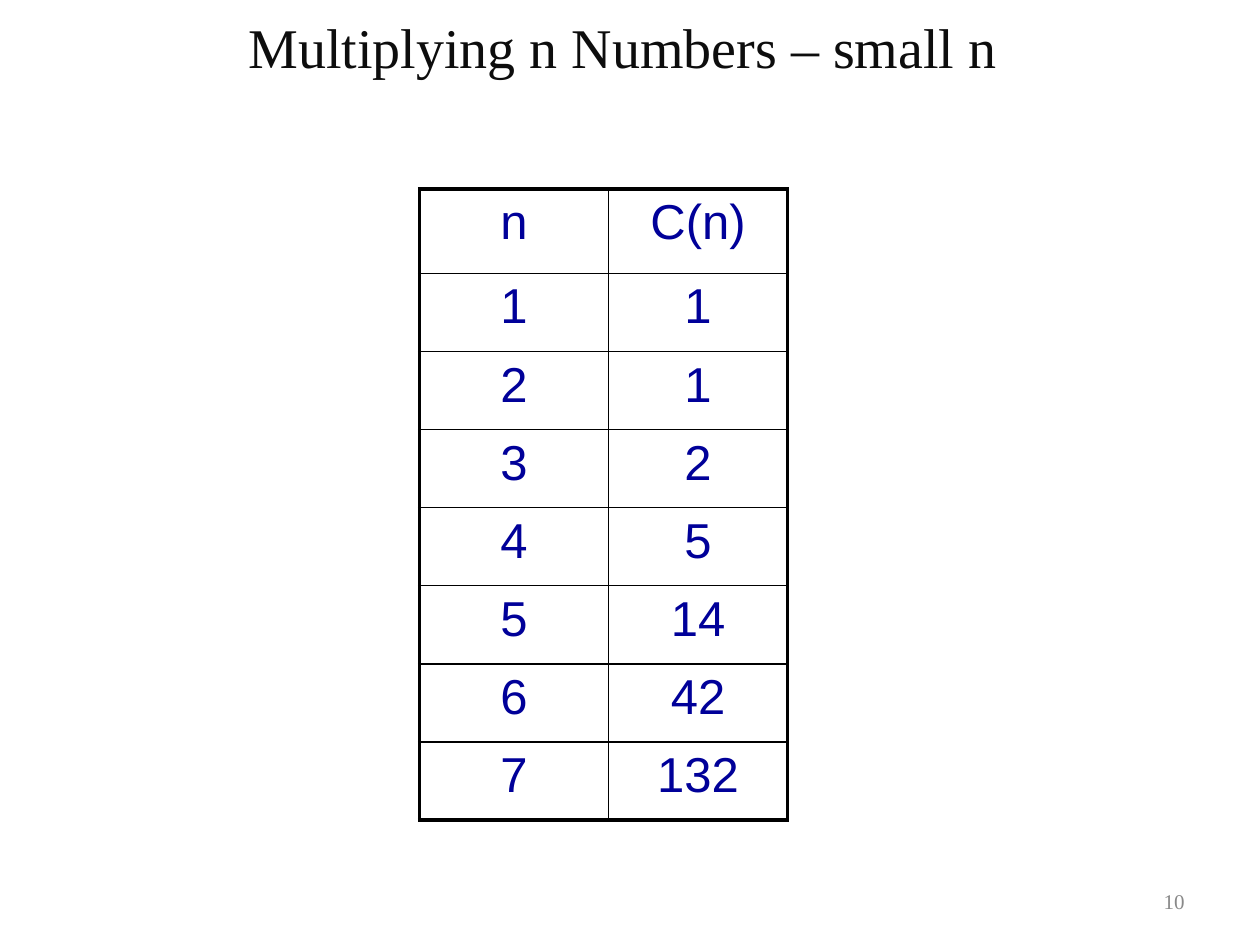
from dataclasses import dataclass

from lxml import etree
from pptx import Presentation
from pptx.dml.color import RGBColor
from pptx.enum.text import MSO_ANCHOR, MSO_AUTO_SIZE, PP_ALIGN
from pptx.oxml.ns import qn
from pptx.util import Inches, Pt

CENTER, RIGHT = PP_ALIGN.CENTER, PP_ALIGN.RIGHT
TOP, MIDDLE = MSO_ANCHOR.TOP, MSO_ANCHOR.MIDDLE
NO_AUTOFIT = MSO_AUTO_SIZE.NONE
TITLE_ONLY = 5

COLORS = {"title": "0D0D0D", "cell": "000099", "border": "000000", "number": "898989"}
OUTER_LINE, INNER_LINE = 2.25, 1


@dataclass(frozen=True)
class TextStyle:
    font: str
    size: float
    color: str
    align: PP_ALIGN


TITLE = TextStyle("Times New Roman", 32, "title", CENTER)
CELL = TextStyle("Arial", 28, "cell", CENTER)
NUMBER = TextStyle("Times New Roman", 12, "number", RIGHT)

CATALAN_ROWS = [
    ("n", "C(n)"),
    *((str(n), str(count)) for n, count in enumerate((1, 1, 2, 5, 14, 42, 132), 1)),
]


def write(frame, text: str, style: TextStyle) -> None:
    para = frame.paragraphs[0]
    para.alignment = style.align
    span = para.add_run()
    span.text = text
    span.font.name = style.font
    span.font.size = Pt(style.size)
    span.font.color.rgb = RGBColor.from_string(COLORS[style.color])


def place(shape, left: float, top: float, width: float, height: float) -> None:
    shape.left, shape.top = Inches(left), Inches(top)
    shape.width, shape.height = Inches(width), Inches(height)


def set_borders(cell, widths: dict[str, float]) -> None:
    properties = cell._tc.get_or_add_tcPr()
    for position, (side, width) in enumerate(widths.items()):
        line = etree.Element(qn(f"a:{side}"), w=str(Pt(width)))
        fill = etree.SubElement(line, qn("a:solidFill"))
        etree.SubElement(fill, qn("a:srgbClr"), val=COLORS["border"])
        properties.insert(position, line)


def add_value_table(page, rows: list[tuple[str, str]]) -> None:
    column_widths = (1.5, 1.42)
    row_heights = [0.67] + [0.62] * (len(rows) - 1)
    table = page.shapes.add_table(
        len(rows), len(column_widths), Inches(3.33), Inches(1.5),
        Inches(sum(column_widths)), Inches(sum(row_heights)),
    ).table
    table.first_row = table.horz_banding = False
    for column, width in zip(table.columns, column_widths):
        column.width = Inches(width)
    for row, height in zip(table.rows, row_heights):
        row.height = Inches(height)

    last_row, last_column = len(rows) - 1, len(column_widths) - 1
    for r, values in enumerate(rows):
        for c, value in enumerate(values):
            cell = table.cell(r, c)
            cell.fill.background()
            write(cell.text_frame, value, CELL)
            # Heavy lines go on the outer edge only
            on_edge = {"lnL": c == 0, "lnR": c == last_column,
                       "lnT": r == 0, "lnB": r == last_row}
            set_borders(cell, {side: OUTER_LINE if outer else INNER_LINE
                               for side, outer in on_edge.items()})


def main() -> None:
    deck = Presentation()
    deck.slide_width, deck.slide_height = Inches(10), Inches(7.5)
    page = deck.slides.add_slide(deck.slide_layouts[TITLE_ONLY])

    # Title
    title = page.shapes.title
    place(title, 0, 0, 10, 0.63)
    frame = title.text_frame
    frame.auto_size = NO_AUTOFIT
    frame.vertical_anchor = TOP
    frame.margin_top = Inches(0.1)
    write(frame, "Multiplying n Numbers – small n ", TITLE)

    # Table of values
    add_value_table(page, CATALAN_ROWS)

    # Slide number
    box = page.shapes.add_textbox(Inches(7.17), Inches(6.95), Inches(2.33), Inches(0.4))
    box.text_frame.word_wrap = True
    box.text_frame.vertical_anchor = MIDDLE
    write(box.text_frame, "10", NUMBER)

    deck.save("out.pptx")


if __name__ == "__main__":
    main()
